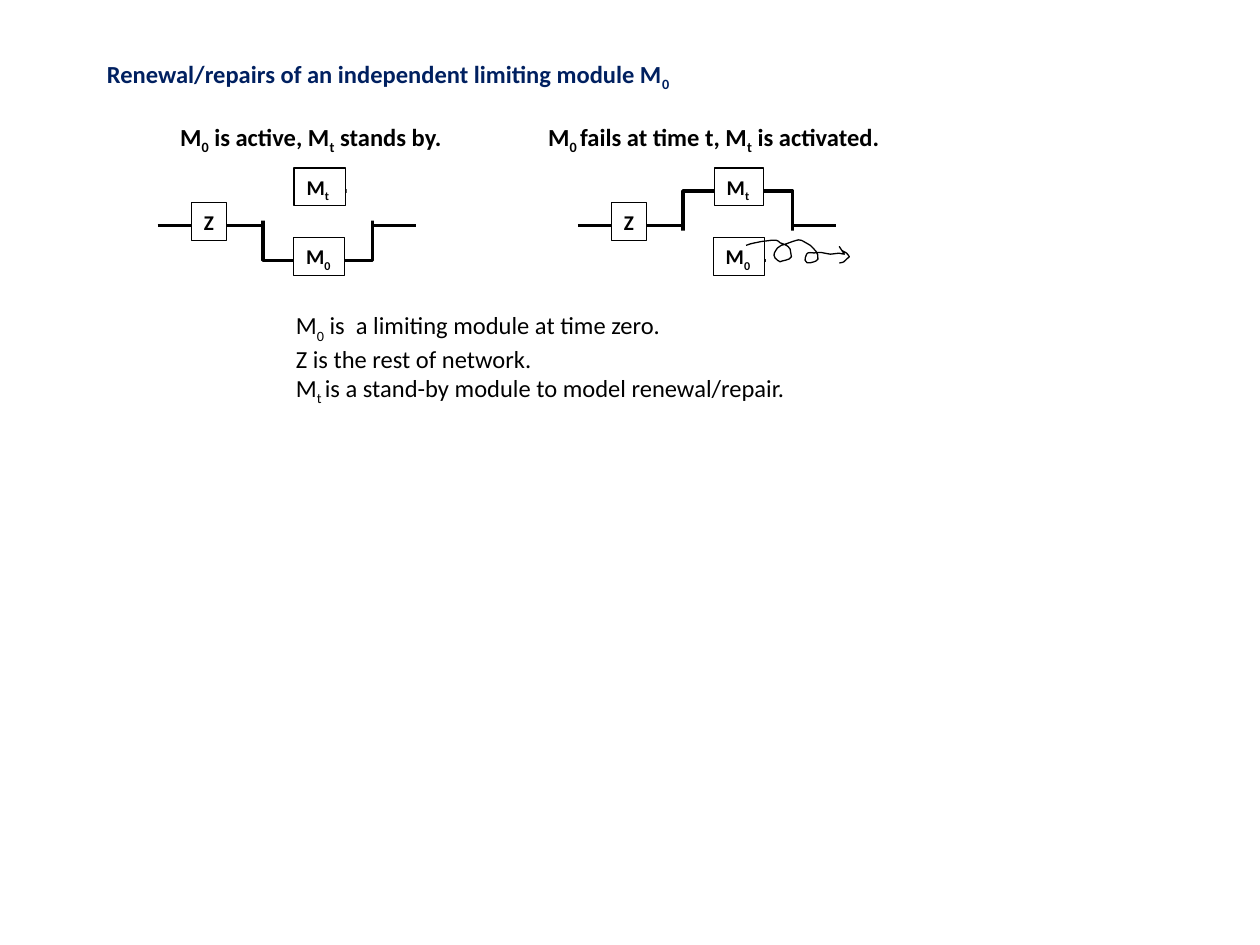
import math

from lxml import etree
from pptx import Presentation
from pptx.dml import color
from pptx.enum import shapes, text
from pptx.oxml import ns
from pptx.util import Cm, Pt

THEME = {
    "font": "Calibri",
    "title": color.RGBColor(0x00, 0x20, 0x60),
    "ink": color.RGBColor(0, 0, 0),
    "paper": color.RGBColor(255, 255, 255),
    "text_size": Pt(14),
    "label_size": Pt(12),
    "wire": Pt(2),
    "outline": Pt(0.75),
}

TITLE = "Renewal/repairs of an independent limiting module M|0"
DEFINITIONS = [
    "M|0| is  a limiting module at time zero. ",
    "Z is the rest of network.",
    "M|t |is a stand-by module to model renewal/repair.",
]
DIAGRAMS = [
    {
        "left": 3.18,
        "caption": ("M|0| is active, M|t| stands by.", 3.38, 5.87, 0.86),
        "gaps": [(1.70, 3.38, 1.07), (3.81, 3.38, 0.84)],
        "boxes": [("Z", 0.68, 4.09, 0.71), ("M|0", 2.74, 4.79, 1.03), ("M|t", 2.75, 3.39, 1.04)],
    },
    {
        "left": 11.65,
        "caption": ("M|0 |fails at time t, M|t| is activated.", 10.80, 7.37, 1.45),
        "gaps": [(1.88, 4.65, 0.86), (3.79, 4.65, 0.84)],
        "boxes": [("Z", 0.68, 4.09, 0.71), ("M|0", 2.73, 4.79, 1.04), ("M|t", 2.75, 3.39, 0.99)],
    },
]
LOOP_LEFT, LOOP_TOP, LOOP_WIDTH, LOOP_HEIGHT = 2.12, 3.85, 2.21, 1.40
WIRE_TOP, WIRE_END = 4.55, 5.21
BOX_HEIGHT, GAP_HEIGHT = 0.76, 1.07

SCRIBBLE_UNIT = 0.0254
SCRIBBLE_CENTER = (634, 200.5)
SCRIBBLE_TILT = 23
SCRIBBLE_START = (592, 195)
SCRIBBLE = [
    (597, 193, 600, 193, 604, 192), (607, 192, 609, 191, 612, 191), (616, 191),
    (617, 191, 618, 192, 619, 193), (621, 194, 623, 194, 624, 195),
    (625, 195, 626, 197, 627, 198), (627, 200, 628, 202, 628, 204),
    (627, 207, 620, 207, 619, 208), (618, 207, 616, 207, 615, 205),
    (613, 202, 615, 200, 617, 197), (618, 196, 619, 196, 620, 195),
    (624, 194, 628, 192, 632, 191), (633, 191, 634, 190, 636, 191),
    (638, 192, 643, 195, 643, 195), (646, 198, 650, 201, 649, 206),
    (648, 207, 647, 208, 646, 208), (643, 209, 636, 211, 640, 202),
    (641, 200, 644, 201, 646, 201), (652, 200, 652, 201, 659, 202), (659, 202),
    (668, 201, 664, 201, 670, 202), (666, 196), (668, 199), (668, 199),
    (673, 202, 671, 200, 674, 204), (668, 209, 671, 208, 666, 209),
]


def place(shape, left, top, width, height):
    shape.left, shape.top, shape.width, shape.height = map(Cm, (left, top, width, height))


def write(shape, lines, size, ink=THEME["ink"], bold=False, wrap=True):
    frame = shape.text_frame
    frame.word_wrap = wrap
    frame.auto_size = text.MSO_AUTO_SIZE.NONE
    frame.vertical_anchor = text.MSO_ANCHOR.TOP
    for index, line in enumerate(lines):
        paragraph = frame.add_paragraph() if index else frame.paragraphs[0]
        paragraph.alignment = text.PP_ALIGN.LEFT
        paragraph.space_before = Pt(0)
        paragraph.font.name = THEME["font"]
        paragraph.font.size = size
        paragraph.font.bold = bold
        paragraph.font.color.rgb = ink
        for position, part in enumerate(line.split("|")):
            run = paragraph.add_run()
            run.text = part
            if position % 2:
                run._r.get_or_add_rPr().set("baseline", "-25000")


def remove_bullets(shape):
    for paragraph in shape.text_frame.paragraphs:
        properties = paragraph._p.get_or_add_pPr()
        properties.set("marL", "0")
        properties.set("indent", "0")
        spacing = properties.find(ns.qn("a:spcBef"))
        spacing.addnext(etree.Element(ns.qn("a:buNone")))


def style(shape, fill, line):
    shape.shadow.inherit = False
    if fill is None:
        shape.fill.background()
    else:
        shape.fill.solid()
        shape.fill.fore_color.rgb = fill
    if line is None:
        shape.line.fill.background()
    else:
        shape.line.color.rgb = THEME["ink"]
        shape.line.width = line


def add_rectangle(left, top, width, height, fill=None, line=None):
    shape = slide.shapes.add_shape(shapes.MSO_SHAPE.RECTANGLE, *map(Cm, (left, top, width, height)))
    style(shape, fill, line)
    return shape


def add_wire(start, end):
    wire = slide.shapes.add_connector(
        shapes.MSO_CONNECTOR.STRAIGHT, Cm(start), Cm(WIRE_TOP), Cm(end), Cm(WIRE_TOP))
    wire.line.color.rgb = THEME["ink"]
    wire.line.width = THEME["wire"]
    etree.SubElement(wire._element.spPr, ns.qn("a:effectLst"))


def add_diagram(left, caption, gaps, boxes):
    words, caption_left, caption_width, caption_height = caption
    caption_box = slide.shapes.add_textbox(
        *map(Cm, (caption_left, 2.34, caption_width, caption_height)))
    write(caption_box, [words], THEME["text_size"], bold=True, wrap=False)
    add_rectangle(left + LOOP_LEFT, LOOP_TOP, LOOP_WIDTH, LOOP_HEIGHT, line=THEME["wire"])
    add_wire(left, left + LOOP_LEFT)
    add_wire(left + LOOP_LEFT + LOOP_WIDTH, left + WIRE_END)
    for offset, top, width in gaps:
        add_rectangle(left + offset, top, width, GAP_HEIGHT, THEME["paper"])
    for label, offset, top, width in boxes:
        box = add_rectangle(left + offset, top, width, BOX_HEIGHT, THEME["paper"], THEME["outline"])
        write(box, [label], THEME["label_size"], bold=True, wrap=False)


def level(x, y):
    angle = math.radians(SCRIBBLE_TILT)
    center_x, center_y = SCRIBBLE_CENTER
    across, down = x - center_x, y - center_y
    turned = (center_x + across * math.cos(angle) - down * math.sin(angle),
              center_y + across * math.sin(angle) + down * math.cos(angle))
    return tuple(Cm(value * SCRIBBLE_UNIT) for value in turned)


def add_scribble():
    builder = slide.shapes.build_freeform(*level(*SCRIBBLE_START))
    builder.add_line_segments([level(*segment[-2:]) for segment in SCRIBBLE], close=False)
    scribble = builder.convert_to_shape()
    style(scribble, None, THEME["outline"])
    lines = list(scribble._element.iter(ns.qn("a:lnTo")))
    for line, segment in zip(lines, SCRIBBLE):
        if len(segment) == 6:
            line.tag = ns.qn("a:cubicBezTo")
            for index in (0, 2):
                x, y = level(*segment[index:index + 2])
                point = etree.Element(ns.qn("a:pt"), x=str(x - scribble.left), y=str(y - scribble.top))
                line.insert(index // 2, point)
    scribble.rotation = 360 - SCRIBBLE_TILT


presentation = Presentation()
presentation.slide_width, presentation.slide_height = Cm(25.4), Cm(19.05)
slide = presentation.slides.add_slide(presentation.slide_layouts[1])
title, body = slide.placeholders

place(title, 1.9, 1.06, 12.5, 0.86)
write(title, [TITLE], THEME["text_size"], THEME["title"], bold=True)
place(body, 5.71, 6.13, 10.8, 2.06)
write(body, DEFINITIONS, THEME["text_size"])
remove_bullets(body)
for diagram in DIAGRAMS:
    add_diagram(**diagram)
add_scribble()

presentation.save("out.pptx")
